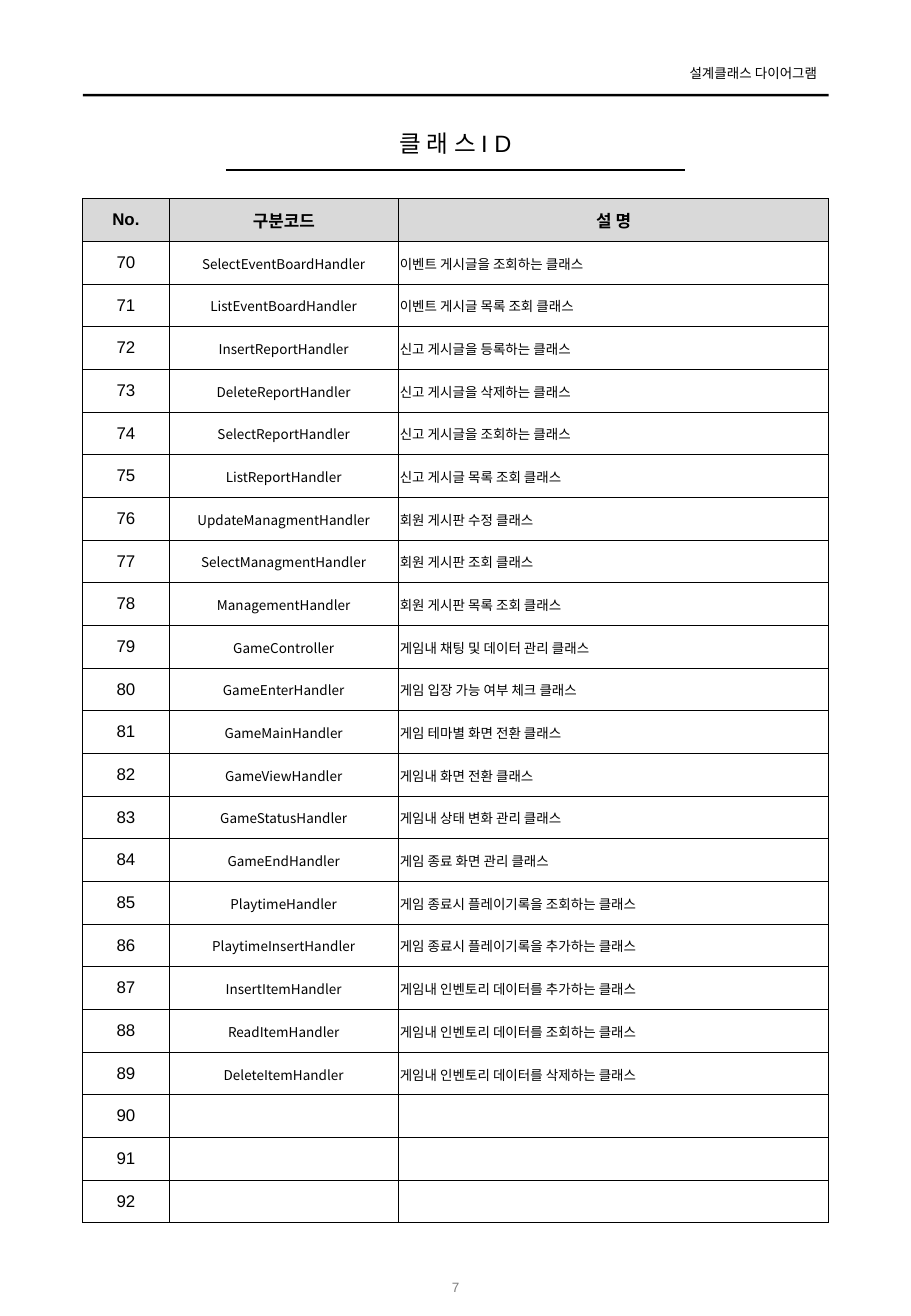
from dataclasses import dataclass

from lxml.etree import SubElement
from pptx import Presentation
from pptx.dml.color import RGBColor
from pptx.enum.shapes import MSO_CONNECTOR, MSO_SHAPE
from pptx.enum.text import MSO_ANCHOR, MSO_AUTO_SIZE, PP_ALIGN
from pptx.oxml.ns import qn
from pptx.util import Pt


@dataclass(frozen=True)
class Theme:
    ink: RGBColor = RGBColor(0, 0, 0)
    muted: RGBColor = RGBColor(0x80, 0x80, 0x80)
    header_fill: RGBColor = RGBColor(0xD9, 0xD9, 0xD9)
    latin: str = "Arial"
    korean: str = "Noto Sans CJK KR"
    title_size: float = 14
    label_size: float = 10
    small_size: float = 8
    border: float = 0.5
    rule: float = 1


THEME = Theme()
LEFT, WIDTH = 49.1, 442.1
ROW_HEIGHT = 25.29
COLUMN_WIDTHS = (51.1, 136.1, 254.9)
HEADINGS = ("No.", "구분코드", "설 명")
FIRST_NUMBER, LAST_NUMBER = 70, 92
CLASSES = [
    ("SelectEventBoardHandler", "이벤트 게시글을 조회하는 클래스"),
    ("ListEventBoardHandler", "이벤트 게시글 목록 조회 클래스"),
    ("InsertReportHandler", "신고 게시글을 등록하는 클래스"),
    ("DeleteReportHandler", "신고 게시글을 삭제하는 클래스"),
    ("SelectReportHandler", "신고 게시글을 조회하는 클래스"),
    ("ListReportHandler", "신고 게시글 목록 조회 클래스"),
    ("UpdateManagmentHandler", "회원 게시판 수정 클래스"),
    ("SelectManagmentHandler", "회원 게시판 조회 클래스"),
    ("ManagementHandler", "회원 게시판 목록 조회 클래스"),
    ("GameController", "게임내 채팅 및 데이터 관리 클래스"),
    ("GameEnterHandler", "게임 입장 가능 여부 체크 클래스"),
    ("GameMainHandler", "게임 테마별 화면 전환 클래스"),
    ("GameViewHandler", "게임내 화면 전환 클래스"),
    ("GameStatusHandler", "게임내 상태 변화 관리 클래스"),
    ("GameEndHandler", "게임 종료 화면 관리 클래스"),
    ("PlaytimeHandler", "게임 종료시 플레이기록을 조회하는 클래스"),
    ("PlaytimeInsertHandler", "게임 종료시 플레이기록을 추가하는 클래스"),
    ("InsertItemHandler", "게임내 인벤토리 데이터를 추가하는 클래스"),
    ("ReadItemHandler", "게임내 인벤토리 데이터를 조회하는 클래스"),
    ("DeleteItemHandler", "게임내 인벤토리 데이터를 삭제하는 클래스"),
]


def write_text(frame, text, size=THEME.small_size, font=THEME.latin, color=THEME.ink,
               bold=False, align=PP_ALIGN.CENTER):
    paragraph = frame.paragraphs[0]
    paragraph.alignment = align
    run = paragraph.add_run()
    run.text = text
    run.font.size = Pt(size)
    run.font.name = font
    run.font.bold = bold
    run.font.color.rgb = color
    SubElement(run.font._element, qn("a:ea"), typeface=THEME.korean)


class SlideBuilder:
    def __init__(self, slide, theme):
        self.slide = slide
        self.theme = theme

    def place_text(self, shape, box, text, insets, **text_format):
        shape.left, shape.top, shape.width, shape.height = map(Pt, box)
        frame = shape.text_frame
        frame.word_wrap = True
        frame.auto_size = MSO_AUTO_SIZE.NONE
        frame.vertical_anchor = MSO_ANCHOR.MIDDLE
        frame.margin_left, frame.margin_right = map(Pt, insets)
        frame.margin_top = frame.margin_bottom = Pt(3.6)
        write_text(frame, text, **text_format)

    def title(self, box, text):
        self.place_text(self.slide.shapes.title, box, text, (0, 0),
                        size=self.theme.title_size)

    def text_box(self, box, text, insets=(7.2, 7.2), **text_format):
        shape = self.slide.shapes.add_textbox(*map(Pt, box))
        self.place_text(shape, box, text, insets, **text_format)

    def bar(self, box):
        shape = self.slide.shapes.add_shape(MSO_SHAPE.RECTANGLE, *map(Pt, box))
        shape.shadow.inherit = False
        shape.fill.solid()
        shape.fill.fore_color.rgb = self.theme.ink
        shape.line.fill.background()

    def rule(self, start, end, top):
        line = self.slide.shapes.add_connector(
            MSO_CONNECTOR.STRAIGHT, Pt(start), Pt(top), Pt(end), Pt(top))
        line.line.color.rgb = self.theme.ink
        line.line.width = Pt(self.theme.rule)
        SubElement(line._element.spPr, qn("a:effectLst"))

    def table(self, box, column_widths, rows):
        table = self.slide.shapes.add_table(
            len(rows), len(column_widths), *map(Pt, box)).table
        table.first_row = table.horz_banding = False
        for column, width in zip(table.columns, column_widths):
            column.width = Pt(width)
        for row_index, values in enumerate(rows):
            table.rows[row_index].height = Pt(ROW_HEIGHT)
            for column_index, text in enumerate(values):
                self.fill_cell(table.cell(row_index, column_index), text,
                               row_index == 0, column_index)

    def fill_cell(self, cell, text, is_header, column_index):
        cell.vertical_anchor = MSO_ANCHOR.MIDDLE
        self.outline_cell(cell)
        if is_header:
            cell.fill.solid()
            cell.fill.fore_color.rgb = self.theme.header_fill
        else:
            cell.fill.background()
        if is_header or column_index == 0:
            write_text(cell.text_frame, text, size=self.theme.label_size, bold=is_header)
            return
        cell.margin_left = cell.margin_right = cell.margin_top = Pt(0.72)
        cell.margin_bottom = Pt(0)
        if text:
            align = PP_ALIGN.CENTER if column_index == 1 else PP_ALIGN.LEFT
            write_text(cell.text_frame, text, font=self.theme.korean, align=align)

    def outline_cell(self, cell):
        properties = cell._tc.get_or_add_tcPr()
        for side in ("lnL", "lnR", "lnT", "lnB"):
            line = SubElement(properties, qn(f"a:{side}"), w=str(Pt(self.theme.border)))
            fill = SubElement(line, qn("a:solidFill"))
            SubElement(fill, qn("a:srgbClr"), val=str(self.theme.ink))


def main():
    presentation = Presentation()
    presentation.slide_width = Pt(540)
    presentation.slide_height = Pt(779.76)
    slide = presentation.slides.add_slide(presentation.slide_layouts[5])
    builder = SlideBuilder(slide, THEME)

    builder.bar((LEFT, 55.6, WIDTH, 1.5))
    builder.text_box((393.8, 34.6, 96.5, 17.3), "설계클래스 다이어그램",
                     insets=(7.2, 5.76), align=PP_ALIGN.RIGHT)
    builder.rule(133.9, 406.1, 100.8)
    builder.title((LEFT, 72.7, WIDTH, 24.5), "클 래 스 I D")
    builder.text_box((236.2, 748.1, 67.7, 28.8), "7", color=THEME.muted)

    numbers = range(FIRST_NUMBER, LAST_NUMBER + 1)
    entries = CLASSES + [("", "")] * (len(numbers) - len(CLASSES))
    rows = [HEADINGS] + [(str(number), *entry) for number, entry in zip(numbers, entries)]
    builder.table((LEFT, 117.7, WIDTH, ROW_HEIGHT * len(rows)), COLUMN_WIDTHS, rows)
    presentation.save("out.pptx")


if __name__ == "__main__":
    main()
